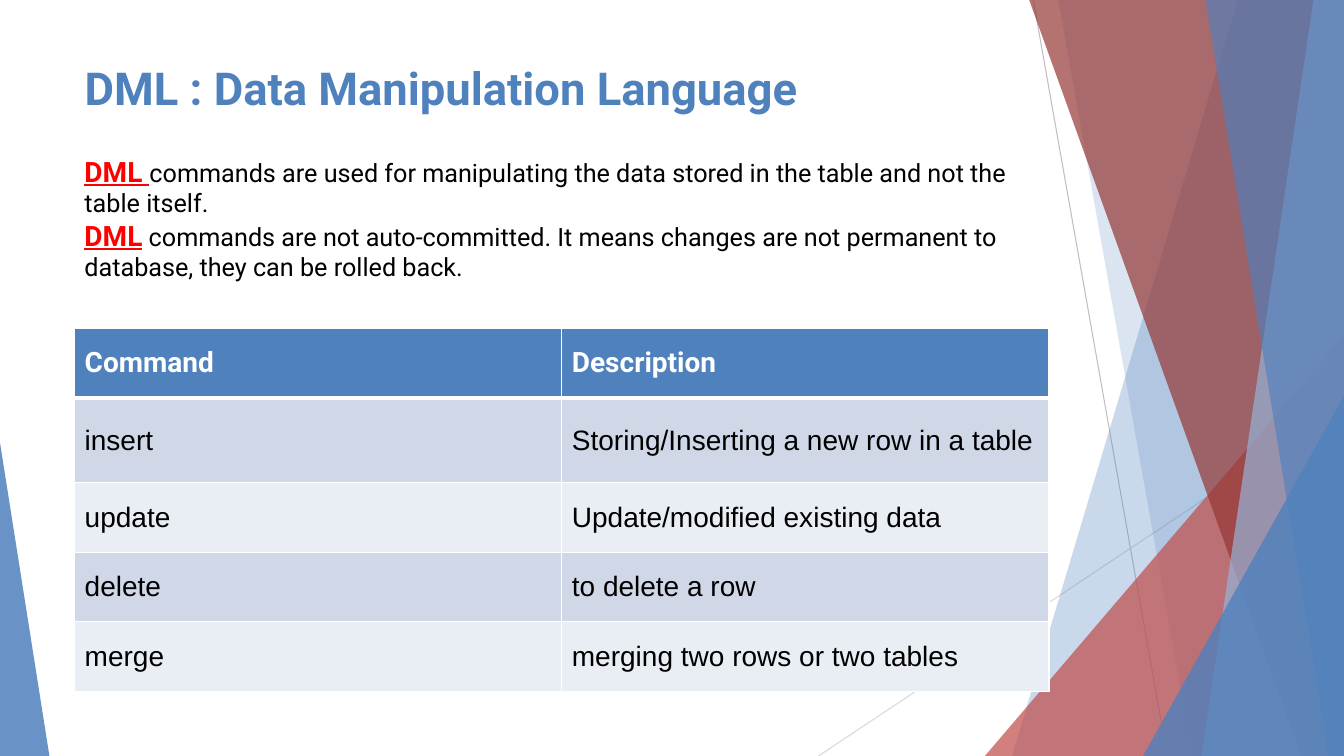
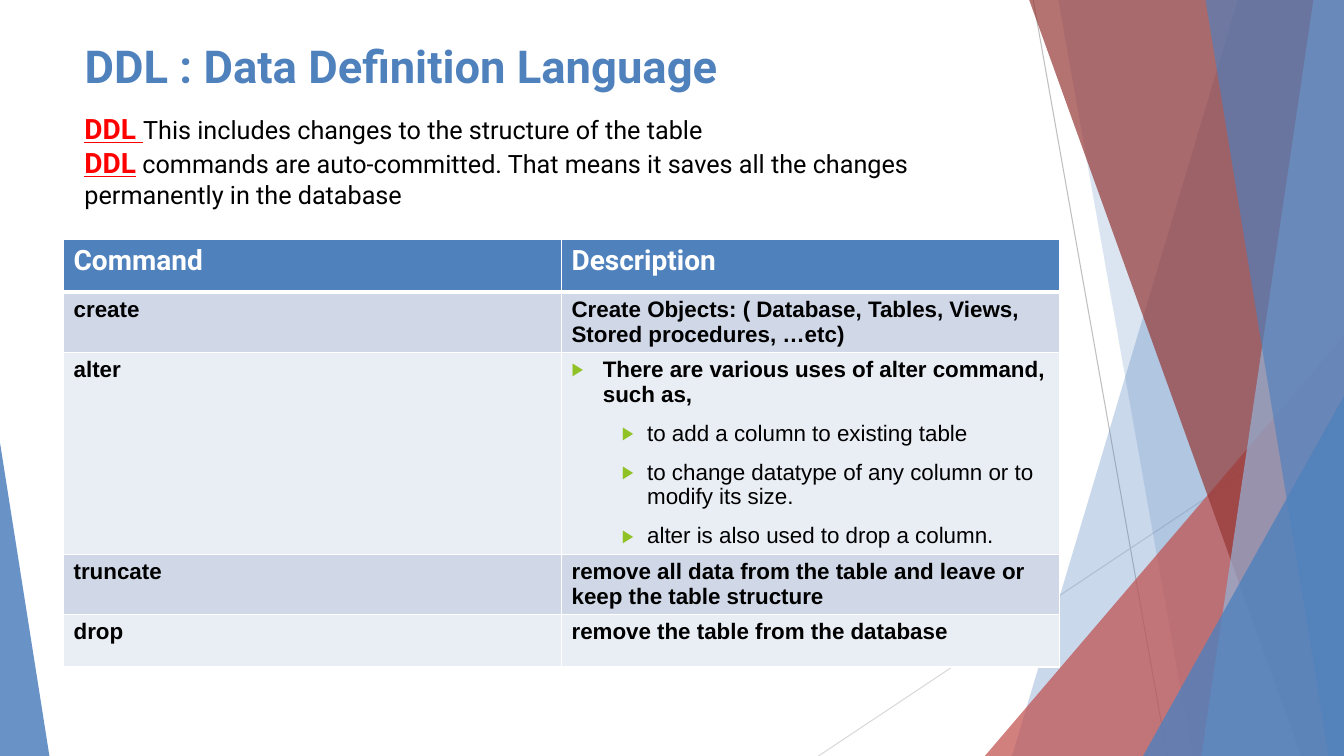
from dataclasses import dataclass
from typing import Optional, Union

import pptx
import pptx.dml.color
import pptx.enum.shapes
import pptx.enum.text
import pptx.oxml
import pptx.oxml.ns
import pptx.util
from lxml import etree

Inches = pptx.util.Inches
Pt = pptx.util.Pt
RGBColor = pptx.dml.color.RGBColor
qn = pptx.oxml.ns.qn
MIDDLE = pptx.enum.text.MSO_ANCHOR.MIDDLE
TOP = pptx.enum.text.MSO_ANCHOR.TOP

WIDTH, HEIGHT = Inches(13.333), Inches(7.5)
BLUE = RGBColor(0x4F, 0x81, 0xBD)
PALE_BLUE = RGBColor(0x95, 0xB3, 0xD7)
RED = RGBColor(0xC0, 0x50, 0x4D)
DARK_RED = RGBColor(0x95, 0x37, 0x35)
KEYWORD_RED = RGBColor(0xFF, 0, 0)
BULLET_GREEN = RGBColor(0x90, 0xC2, 0x26)
WHITE = RGBColor(0xFF, 0xFF, 0xFF)
BLACK = RGBColor(0, 0, 0)
ROW_DARK = RGBColor(0xD0, 0xD8, 0xE8)
ROW_LIGHT = RGBColor(0xE9, 0xED, 0xF4)
GREY = RGBColor(0xBF, 0xBF, 0xBF)
LIGHT_GREY = RGBColor(0xD9, 0xD9, 0xD9)
HEADING_FONT, TABLE_FONT = "Roboto", "Arial"


# Positions and sizes below are percentages of the slide's width or height.
@dataclass(frozen=True)
class Ray:
    start: tuple[float, float]
    end: tuple[float, float]
    colour: RGBColor


@dataclass(frozen=True)
class Band:
    """Full-height area from a slanted left edge to the right side of the slide."""
    top_x: float
    bottom_x: float
    colour: RGBColor
    opacity: int


@dataclass(frozen=True)
class Corner:
    """Right triangle standing on the bottom of the slide."""
    left: float
    top: float
    width: float
    apex: int
    colour: RGBColor
    opacity: int


@dataclass(frozen=True)
class Area:
    left: float
    top: float
    width: float
    height: float


@dataclass(frozen=True)
class CommandTable:
    left: float
    top: float
    width: float
    row_heights: list[float]
    rows: list[tuple[str, Union[str, list[str]]]]
    size: int
    bold: bool
    anchor: pptx.enum.text.MSO_ANCHOR


@dataclass(frozen=True)
class Topic:
    title: str
    title_area: Area
    intro: list[tuple[str, str]]
    intro_area: Area
    table: CommandTable


RAYS = [
    Ray((76.88, 0), (86.85, 100), GREY),
    Ray((100, 53.73), (60.9, 100), LIGHT_GREY),
]
FACETS = [
    Band(92.1, 75.3, BLUE, 30),
    Band(78.75, 88.73, BLUE, 20),
    Corner(73.28, 44.4, 26.72, 1, RED, 72),
    Band(76.58, 96.83, DARK_RED, 70),
    Band(97.73, 89.4, PALE_BLUE, 70),
    Band(89.7, 98.85, BLUE, 65),
    Corner(85.05, 52.4, 14.95, 1, BLUE, 80),
    Corner(0, 58.53, 3.68, 0, BLUE, 85),
]
TOPICS = [
    Topic(
        "DML : Data Manipulation Language",
        Area(5.55, 6.93, 70.5, 9.2),
        [
            ("DML ", "commands are used for manipulating the data stored in the "
                     "table and not the table itself."),
            ("DML", " commands are not auto-committed. It means changes are not "
                    "permanent to database, they can be rolled back."),
        ],
        Area(5.55, 19.73, 73.2, 18.4),
        CommandTable(
            5.55, 43.47, 72.5, [9.2, 11.2, 9.2, 9.2, 9.2],
            [
                ("insert", "Storing/Inserting a new row in a table"),
                ("update", "Update/modified existing data"),
                ("delete", "to delete a row"),
                ("merge", "merging two rows or two tables"),
            ],
            size=20, bold=False, anchor=MIDDLE),
    ),
    Topic(
        "DDL : Data Definition Language",
        Area(5.55, 4, 70.5, 9.33),
        [
            ("DDL ", "This includes changes to the structure of the table"),
            ("DDL", " commands are auto-committed. That means it saves all the "
                    "changes permanently in the database"),
        ],
        Area(5.55, 14.13, 73.2, 14.4),
        CommandTable(
            4.73, 31.73, 74.1, [6.93, 7.87, 26.8, 7.87, 6.93],
            [
                ("create", "Create Objects: ( Database, Tables, Views, "
                           "Stored procedures, …etc)"),
                ("alter", [
                    "There are various uses of alter command, such as,",
                    "to add a column to existing table",
                    "to change datatype of any column or to modify its size.",
                    "alter is also used to drop a column.",
                ]),
                ("truncate", "remove all data from the table and leave or "
                             "keep the table structure"),
                ("drop", "remove the table from the database"),
            ],
            size=16, bold=True, anchor=TOP),
    ),
]


def across(percent: float) -> int:
    return round(WIDTH * percent / 100)


def down(percent: float) -> int:
    return round(HEIGHT * percent / 100)


def add_span(para, text: str, *, size: float, colour: RGBColor = BLACK,
             font: str = HEADING_FONT, bold: bool = False,
             underline: bool = False) -> None:
    span = para.add_run()
    span.text = text
    span.font.name, span.font.size = font, Pt(size)
    span.font.bold, span.font.underline = bold, underline
    span.font.color.rgb = colour


def add_child(parent, tag: str, **attributes: str):
    return etree.SubElement(parent, qn(tag), attributes)


def add_ray(page, ray: Ray):
    line = page.shapes.add_connector(
        pptx.enum.shapes.MSO_CONNECTOR.STRAIGHT,
        across(ray.start[0]), down(ray.start[1]), across(ray.end[0]), down(ray.end[1]))
    line.line.color.rgb = ray.colour
    line.line.width = Pt(0.75)
    add_child(line.element.spPr, "a:effectLst")
    return line


def add_facet(page, facet: Union[Band, Corner]):
    if isinstance(facet, Band):
        outline = page.shapes.build_freeform(across(facet.top_x), 0)
        outline.add_line_segments(
            [(WIDTH, 0), (WIDTH, HEIGHT), (across(facet.bottom_x), HEIGHT)])
        shape = outline.convert_to_shape()
    else:
        shape = page.shapes.add_shape(
            pptx.enum.shapes.MSO_SHAPE.ISOSCELES_TRIANGLE, across(facet.left),
            down(facet.top), across(facet.width), down(100 - facet.top))
        shape.adjustments[0] = facet.apex
    shape.shadow.inherit = False
    shape.line.fill.background()
    shape.fill.solid()
    shape.fill.fore_color.rgb = facet.colour
    colour = next(shape.element.iter(qn("a:srgbClr")))
    add_child(colour, "a:alpha", val=str(facet.opacity * 1000))
    return shape


def decorate_layout(layout, page) -> None:
    """Draw the backdrop on the page, then move it behind the layout's placeholders."""
    backdrop = [add_ray(page, ray) for ray in RAYS]
    backdrop += [add_facet(page, facet) for facet in FACETS]
    for index, shape in enumerate(backdrop):
        next(shape.element.iter(qn("p:cNvPr"))).set("id", str(20 + index))
        layout.shapes.element.insert(2 + index, shape.element)


def place(box, area: Area) -> None:
    box.left, box.top = across(area.left), down(area.top)
    box.width, box.height = across(area.width), down(area.height)


def add_title(page, topic: Topic) -> None:
    title = page.shapes.title
    place(title, topic.title_area)
    frame = title.text_frame
    frame.auto_size = pptx.enum.text.MSO_AUTO_SIZE.NONE
    frame.vertical_anchor = MIDDLE
    para = frame.paragraphs[0]
    para.alignment = pptx.enum.text.PP_ALIGN.LEFT
    add_span(para, topic.title, size=32.4, colour=BLUE, bold=True)


def add_intro(page, topic: Topic) -> None:
    box = page.shapes.add_textbox(0, 0, 0, 0)
    place(box, topic.intro_area)
    frame = box.text_frame
    frame.word_wrap = True
    frame.auto_size = pptx.enum.text.MSO_AUTO_SIZE.SHAPE_TO_FIT_TEXT
    for index, (keyword, sentence) in enumerate(topic.intro):
        para = frame.add_paragraph() if index else frame.paragraphs[0]
        add_span(para, keyword, size=20, colour=KEYWORD_RED, bold=True, underline=True)
        add_span(para, sentence, size=18)


def add_bullet(para, level: int) -> None:
    para.level = level
    if level:
        para.space_before = Pt(10)
    margin, hanging = ((0.31, 0.31), (0.75, 0.25))[level]
    properties = para._p.get_or_add_pPr()
    properties.set("marL", str(Inches(margin)))
    properties.set("indent", str(-Inches(hanging)))
    add_child(add_child(properties, "a:buClr"), "a:srgbClr", val=str(BULLET_GREEN))
    add_child(properties, "a:buSzPct", val="80000")
    add_child(properties, "a:buFont", typeface=TABLE_FONT)
    add_child(properties, "a:buChar", char="▶")


def format_cell(cell, fill: RGBColor, anchor, top: float, bottom: float) -> None:
    """Set fill, anchor and white borders, with the given top and bottom widths."""
    cell.vertical_anchor = anchor
    properties = cell._tc.get_or_add_tcPr()
    for side, width in (("L", 1), ("R", 1), ("T", top), ("B", bottom)):
        border = add_child(properties, f"a:ln{side}", w=str(Pt(width)))
        add_child(add_child(border, "a:solidFill"), "a:srgbClr", val=str(WHITE))
    cell.fill.solid()
    cell.fill.fore_color.rgb = fill


def add_command_table(page, spot: CommandTable) -> None:
    rows = [("Command", "Description"), *spot.rows]
    table = page.shapes.add_table(
        len(rows), 2, across(spot.left), down(spot.top),
        across(spot.width), down(sum(spot.row_heights))).table
    for r, (row, height) in enumerate(zip(rows, spot.row_heights)):
        table.rows[r].height = down(height)
        fill = BLUE if r == 0 else ROW_DARK if r % 2 else ROW_LIGHT
        for c, content in enumerate(row):
            cell = table.cell(r, c)
            format_cell(cell, fill, spot.anchor,
                        top=3 if r == 1 else 1, bottom=3 if r == 0 else 1)
            listed = isinstance(content, list)
            for i, text in enumerate(content if listed else [content]):
                frame = cell.text_frame
                para = frame.add_paragraph() if i else frame.paragraphs[0]
                if listed:
                    add_bullet(para, min(i, 1))
                if r == 0:
                    add_span(para, text, size=20, colour=WHITE, bold=True)
                else:
                    add_span(para, text, size=spot.size, font=TABLE_FONT,
                             bold=spot.bold and i == 0)


def main() -> None:
    deck = pptx.Presentation()
    deck.slide_width, deck.slide_height = WIDTH, HEIGHT
    layout = deck.slide_layouts.get_by_name("Title Only")
    for index, topic in enumerate(TOPICS):
        page = deck.slides.add_slide(layout)
        if index == 0:
            decorate_layout(layout, page)
        add_title(page, topic)
        add_command_table(page, topic.table)
        add_intro(page, topic)
    deck.save("out.pptx")


if __name__ == "__main__":
    main()
